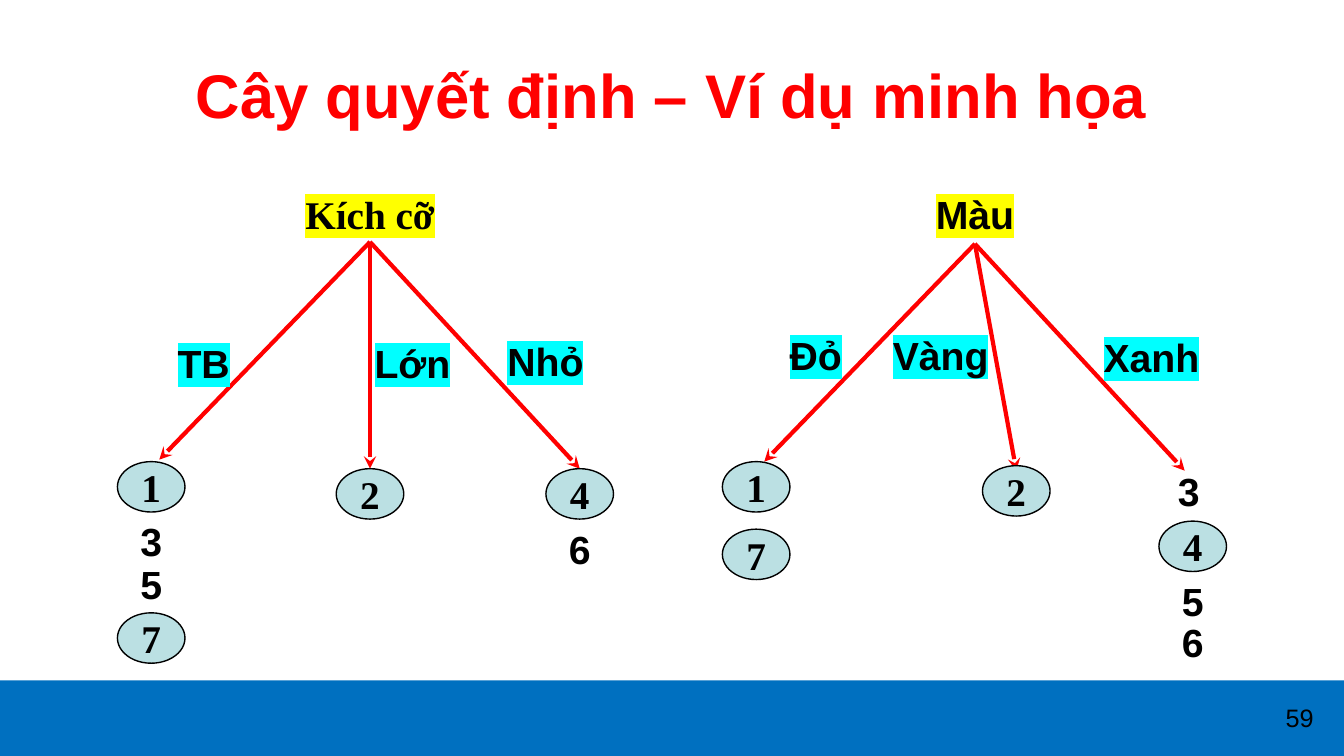
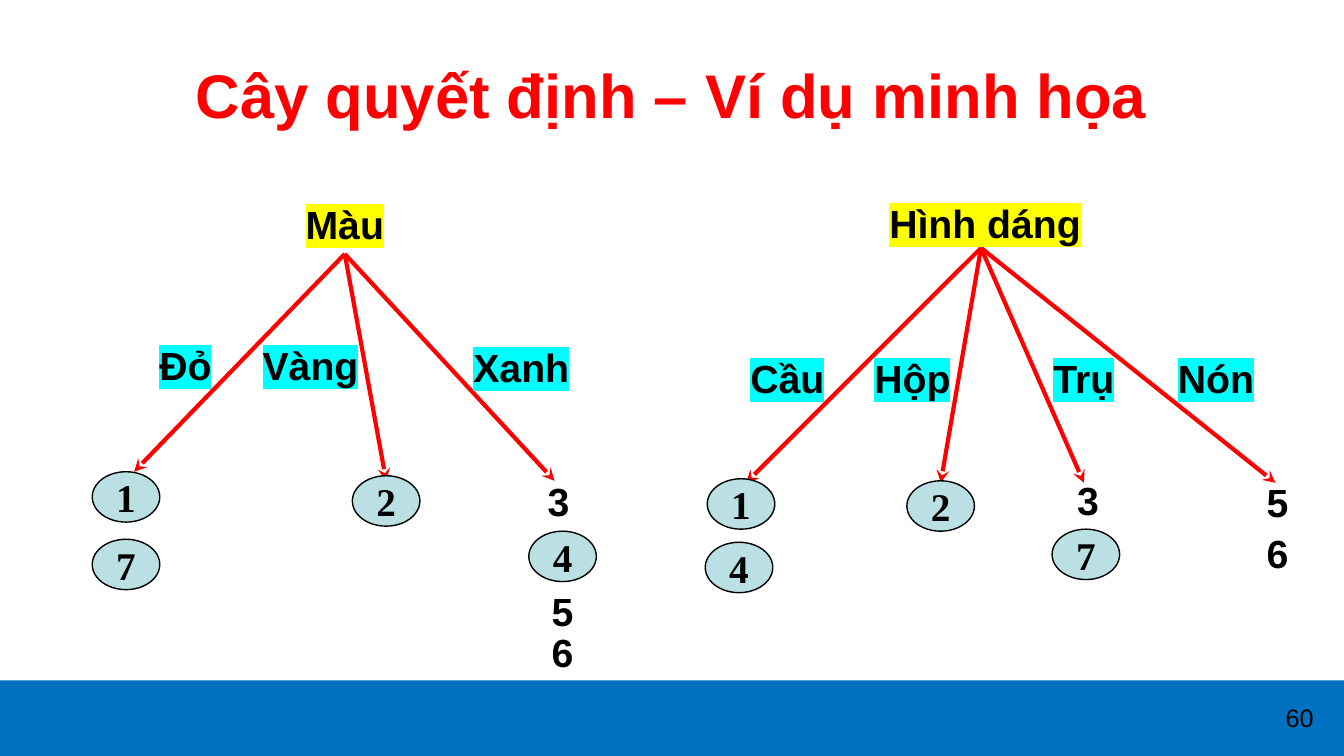
from lxml import etree
from pptx import Presentation
from pptx import util as u
from pptx.dml.color import RGBColor
from pptx.enum import shapes, text
from pptx.oxml import ns

WIDTH, HEIGHT = 13.33, 7.5
RED, BLUE, BLACK = "FF0000", "0070C0", "000000"
YELLOW, CYAN, PALE = "FFFF00", "00FFFF", "BBE0E3"
SANS, SERIF = "Arial", "Times New Roman"
TITLE = "Cây quyết định – Ví dụ minh họa"
FIRST_NUMBER = 59
CIRCLED = "1247"
NODE = (0.67, 0.5)
LABEL = (2.4, 0.58)

SIZE = {
    "name": "Kích cỡ", "face": SERIF, "at": (0, -0.28),
    "branches": [
        ("TB", (-1.65, 1.2), (-2.09, 2.16),
         [("1", -2.17, 2.43), ("3", -2.17, 2.97), ("5", -2.17, 3.39), ("7", -2.17, 3.93)]),
        ("Lớn", (0.42, 1.2), (0, 2.25), [("2", 0, 2.5)]),
        ("Nhỏ", (1.74, 1.18), (2.08, 2.25), [("4", 2.08, 2.5), ("6", 2.08, 3.04)]),
    ],
}
COLOUR = {
    "name": "Màu", "face": SANS, "at": (0, -0.3),
    "branches": [
        ("Đỏ", (-1.58, 1.1), (-2.09, 2.16), [("1", -2.17, 2.41), ("7", -2.17, 3.08)]),
        ("Vàng", (-0.34, 1.1), (0.41, 2.25), [("2", 0.41, 2.45)]),
        ("Xanh", (1.75, 1.12), (2.08, 2.25),
         [("3", 2.12, 2.45), ("4", 2.16, 3.0), ("5", 2.16, 3.54), ("6", 2.16, 3.95)]),
    ],
}
FORM = {
    "name": "Hình dáng", "face": SANS, "at": (0.04, -0.25),
    "branches": [
        ("Cầu", (-1.92, 1.29), (-2.33, 2.33), [("1", -2.38, 2.54), ("4", -2.4, 3.17)]),
        ("Hộp", (-0.68, 1.29), (-0.4, 2.33), [("2", -0.4, 2.56)]),
        ("Trụ", (1.02, 1.29), (1.02, 2.33), [("3", 1.06, 2.5), ("7", 1.04, 3.04)]),
        ("Nón", (2.33, 1.29), (2.92, 2.33), [("5", 2.94, 2.52), ("6", 2.94, 3.02)]),
    ],
}
SLIDES = [
    [(SIZE, (3.67, 2.4)), (COLOUR, (9.67, 2.42))],
    [(COLOUR, (3.42, 2.52)), (FORM, (9.73, 2.46))],
]


def rgb(colour):
    return RGBColor.from_string(colour)


def box(center, area):
    return [u.Inches(c - s / 2) for c, s in zip(center, area)] + [u.Inches(s) for s in area]


def write(holder, words, size=28, face=SANS, colour=BLACK, bold=True, mark=None, wrap=True):
    frame = holder.text_frame
    frame.word_wrap = wrap
    frame.margin_left = frame.margin_right = frame.margin_top = frame.margin_bottom = 0
    frame.vertical_anchor = text.MSO_ANCHOR.MIDDLE
    line = frame.paragraphs[0]
    line.alignment = text.PP_ALIGN.CENTER
    font = line.font
    font.size, font.name, font.bold = u.Pt(size), face, bold
    font.color.rgb = rgb(colour)
    if words:
        run = line.add_run()
        run.text = words
        if mark:
            highlight = etree.SubElement(run._r.get_or_add_rPr(), ns.qn("a:highlight"))
            etree.SubElement(highlight, ns.qn("a:srgbClr"), val=mark)
    return line


def add_label(slide, words, center, area=LABEL, **style):
    return write(slide.shapes.add_textbox(*box(center, area)), words, **style)


def add_plain(slide, kind, place, fill):
    shape = slide.shapes.add_shape(kind, *place)
    shape.shadow.inherit = False
    shape.fill.solid()
    shape.fill.fore_color.rgb = rgb(fill)
    return shape


def add_arrow(slide, start, end):
    ends = [u.Inches(v) for v in (*start, *end)]
    arrow = slide.shapes.add_connector(shapes.MSO_CONNECTOR.STRAIGHT, *ends)
    arrow.line.color.rgb = rgb(RED)
    arrow.line.width = u.Pt(3)
    etree.SubElement(arrow.line._get_or_add_ln(), ns.qn("a:tailEnd"), type="stealth")
    etree.SubElement(arrow._element.spPr, ns.qn("a:effectLst"))


def add_node(slide, number, center):
    if number not in CIRCLED:
        add_label(slide, number, center, NODE)
        return
    circle = add_plain(slide, shapes.MSO_SHAPE.OVAL, box(center, NODE), PALE)
    circle.line.color.rgb = rgb(BLACK)
    circle.line.width = u.Pt(1)
    write(circle, number, face=SERIF, wrap=False)


def add_tree(slide, tree, root):
    def place(offset):
        return root[0] + offset[0], root[1] + offset[1]

    for _, _, tip, _ in tree["branches"]:
        add_arrow(slide, root, place(tip))
    add_label(slide, tree["name"], place(tree["at"]), face=tree["face"], mark=YELLOW)
    for value, spot, _, nodes in tree["branches"]:
        add_label(slide, value, place(spot), mark=CYAN)
        for number, *offset in nodes:
            add_node(slide, number, place(offset))


def add_frame(slide, number):
    band = HEIGHT / 10
    footer = add_plain(slide, shapes.MSO_SHAPE.RECTANGLE,
                       box((WIDTH / 2, HEIGHT - band / 2), (WIDTH, band)), BLUE)
    footer.line.fill.background()
    line = add_label(slide, "", (12.89, 7.12), (0.88, 0.4), size=18, bold=False)
    field = etree.SubElement(line._p, ns.qn("a:fld"), type="slidenum",
                             id="{B6F15528-21DE-4FAA-801E-634DDDAF4B2B}")
    etree.SubElement(field, ns.qn("a:rPr"), lang="vi-VN")
    etree.SubElement(field, ns.qn("a:t")).text = str(number)
    add_label(slide, TITLE, (WIDTH / 2, 0.93), (12, 1.25), size=44, colour=RED)


def main():
    deck = Presentation()
    deck.slide_width, deck.slide_height = u.Inches(WIDTH), u.Inches(HEIGHT)
    deck.element.set("firstSlideNum", str(FIRST_NUMBER))
    for number, trees in enumerate(SLIDES, FIRST_NUMBER):
        slide = deck.slides.add_slide(deck.slide_layouts[6])
        add_frame(slide, number)
        for tree, root in trees:
            add_tree(slide, tree, root)
    deck.save("out.pptx")


if __name__ == "__main__":
    main()
